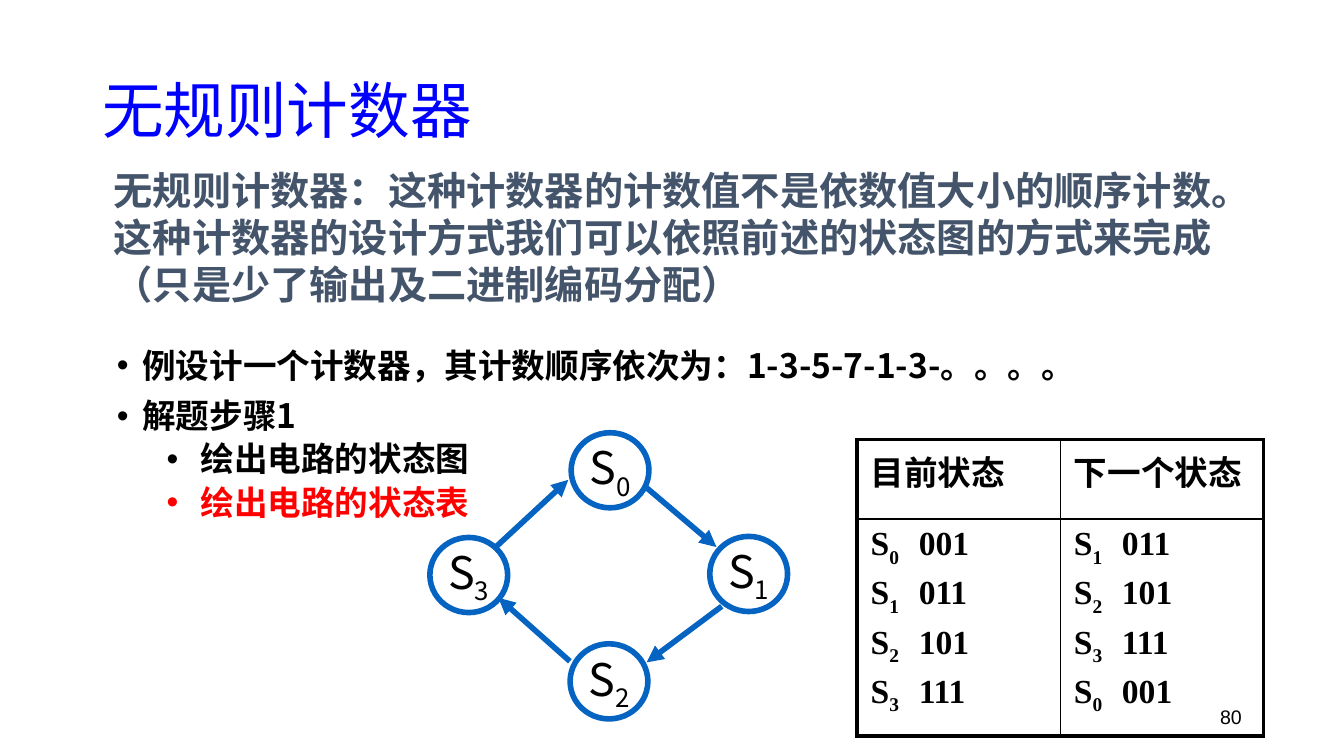
from lxml.etree import SubElement
from pptx import Presentation
from pptx.dml.color import RGBColor
from pptx.enum.shapes import MSO_CONNECTOR, MSO_SHAPE
from pptx.enum.text import MSO_ANCHOR, PP_ALIGN
from pptx.oxml import parse_xml
from pptx.oxml.ns import nsdecls, qn
from pptx.util import Cm, Pt

BLACK = RGBColor(0x00, 0x00, 0x00)
RED = RGBColor(0xFF, 0x00, 0x00)
TITLE_BLUE = RGBColor(0x00, 0x00, 0xFF)
SLATE = RGBColor(0x44, 0x54, 0x6A)
LINE_BLUE = RGBColor(0x05, 0x63, 0xC1)
CJK = "Noto Sans CJK JP"
SERIF = "Times New Roman"


def write(p, text, size=18, color=BLACK, font=CJK, bold=False, sub=False):
    r = p.add_run()
    r.text = text
    r.font.name = font
    r.font.size = Pt(size)
    r.font.bold = bold
    r.font.color.rgb = color
    rPr = r.font._element
    SubElement(rPr, qn("a:ea")).set("typeface", CJK)
    if sub:
        rPr.set("baseline", "-25000")


def add_box(x, y, w, h, anchor=MSO_ANCHOR.TOP, inset_x=0.18, top=0.1, bottom=0.1):
    tf = s.shapes.add_textbox(Cm(x), Cm(y), Cm(w), Cm(h)).text_frame
    tf.word_wrap = True
    tf.vertical_anchor = anchor
    tf.margin_left = tf.margin_right = Cm(inset_x)
    tf.margin_top, tf.margin_bottom = Cm(top), Cm(bottom)
    return tf


prs = Presentation()
prs.slide_width, prs.slide_height = Cm(25.4), Cm(14.29)
s = prs.slides.add_slide(prs.slide_layouts[6])

# Page number, title and definition
p = add_box(17.93, 13.23, 5.72, 0.76).paragraphs[0]
p.alignment = PP_ALIGN.RIGHT
write(p, "80", size=10.5, font="Arial")

p = add_box(1.75, 0.76, 21.89, 2.77, MSO_ANCHOR.MIDDLE).paragraphs[0]
p.line_spacing = 0.9
write(p, "无规则计数器", size=33, color=TITLE_BLUE)

tf = add_box(1.9, 3.53, 22.53, 2.79, MSO_ANCHOR.MIDDLE, inset_x=0.25, top=0.13, bottom=1.02)
write(tf.paragraphs[0],
      "无规则计数器：这种计数器的计数值不是依数值大小的顺序计数。"
      "这种计数器的设计方式我们可以依照前述的状态图的方式来完成"
      "（只是少了输出及二进制编码分配）",
      size=21, color=SLATE, bold=True)

# Bulleted steps: level, text, colour
steps = [
    (0, "例设计一个计数器，其计数顺序依次为：1-3-5-7-1-3-。。。。", BLACK),
    (0, "解题步骤1", BLACK),
    (1, "绘出电路的状态图", BLACK),
    (1, "绘出电路的状态表", RED),
]
tf = add_box(2.03, 6.5, 18.82, 7.09)
for i, (level, text, color) in enumerate(steps):
    p = tf.add_paragraph() if i else tf.paragraphs[0]
    p.level = level
    p.line_spacing = 0.9
    p.space_before = Pt((7.5, 3.8)[level] if i else 0)
    pPr = p._p.get_or_add_pPr()
    pPr.set("marL", str(Cm((0.48, 1.58)[level])))
    pPr.set("indent", str(-Cm((0.48, 0.64)[level])))
    SubElement(pPr, qn("a:buFont")).set("typeface", "Arial")
    SubElement(pPr, qn("a:buChar")).set("char", "•")
    write(p, text, color=color, bold=True)

# State diagram: circle centres in state order, then the transitions
centres = [(11.53, 8.89), (14.15, 10.85), (11.51, 12.88), (8.86, 10.87)]
state_w, state_h = 1.47, 1.42
for i, (cx, cy) in enumerate(centres):
    sp = s.shapes.add_shape(MSO_SHAPE.OVAL, Cm(cx - state_w / 2), Cm(cy - state_h / 2),
                            Cm(state_w), Cm(state_h))
    sp.shadow.inherit = False
    sp.fill.background()
    sp.line.color.rgb = LINE_BLUE
    sp.line.width = Pt(3)
    tf = sp.text_frame
    tf.word_wrap = False
    tf.vertical_anchor = MSO_ANCHOR.MIDDLE
    p = tf.paragraphs[0]
    p.alignment = PP_ALIGN.CENTER
    p.line_spacing = 0.8
    write(p, "S", size=24)
    write(p, str(i), size=24, sub=True)

transitions = [
    (12.22, 9.22, 13.54, 10.34),
    (13.64, 11.46, 12.22, 12.52),
    (10.77, 12.5, 9.42, 11.3),
    (9.37, 10.34, 10.74, 9.07),
]
for ends in transitions:
    arrow = s.shapes.add_connector(MSO_CONNECTOR.STRAIGHT, *(Cm(v) for v in ends))
    arrow.line.color.rgb = LINE_BLUE
    arrow.line.width = Pt(3)
    SubElement(arrow.line._get_or_add_ln(), qn("a:tailEnd")).set("type", "triangle")
    SubElement(arrow._element.spPr, qn("a:effectLst"))

# State table: each state moves to the next one in the cycle
codes = ["001", "011", "101", "111"]
table = s.shapes.add_table(2, 2, Cm(16.2), Cm(8.31), Cm(7.68), Cm(5.26)).table
table.first_row = table.horz_banding = False
for col in table.columns:
    col.width = Cm(3.84)
table.rows[0].height, table.rows[1].height = Cm(1.5), Cm(3.76)

for c, heading in enumerate(["目前状态", "下一个状态"]):
    write(table.cell(0, c).text_frame.paragraphs[0], heading, font=SERIF, bold=True)
    tf = table.cell(1, c).text_frame
    for i in range(len(codes)):
        state = (i + c) % len(codes)
        p = tf.add_paragraph() if i else tf.paragraphs[0]
        p.space_before = Pt(3.6 if i else 0)
        tabs = SubElement(p._p.get_or_add_pPr(), qn("a:tabLst"))
        tab = SubElement(tabs, qn("a:tab"))
        tab.set("pos", str(Cm(0.91)))
        tab.set("algn", "l")
        write(p, "S", font=SERIF, bold=True)
        write(p, str(state), font=SERIF, bold=True, sub=True)
        write(p, "\t" + codes[state], font=SERIF, bold=True)

for row in range(2):
    for c in range(2):
        cell = table.cell(row, c)
        cell.fill.background()
        outer = {"L": c == 0, "R": c == 1, "T": row == 0, "B": row == 1}
        for i, (side, is_outer) in enumerate(outer.items()):
            width = Pt(2.25 if is_outer else 1)
            cell._tc.get_or_add_tcPr().insert(i, parse_xml(
                f'<a:ln{side} {nsdecls("a")} w="{width}"><a:solidFill>'
                f'<a:srgbClr val="{BLACK}"/></a:solidFill></a:ln{side}>'))

prs.save("out.pptx")
